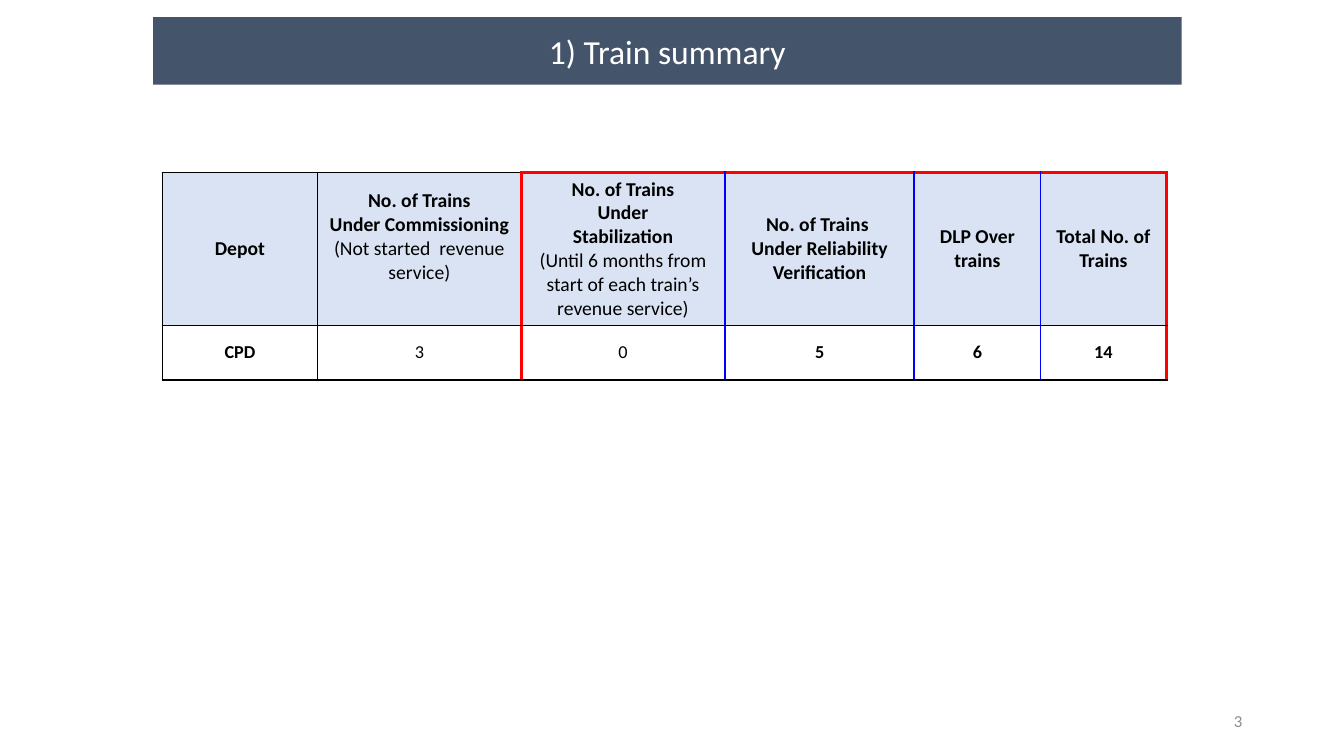
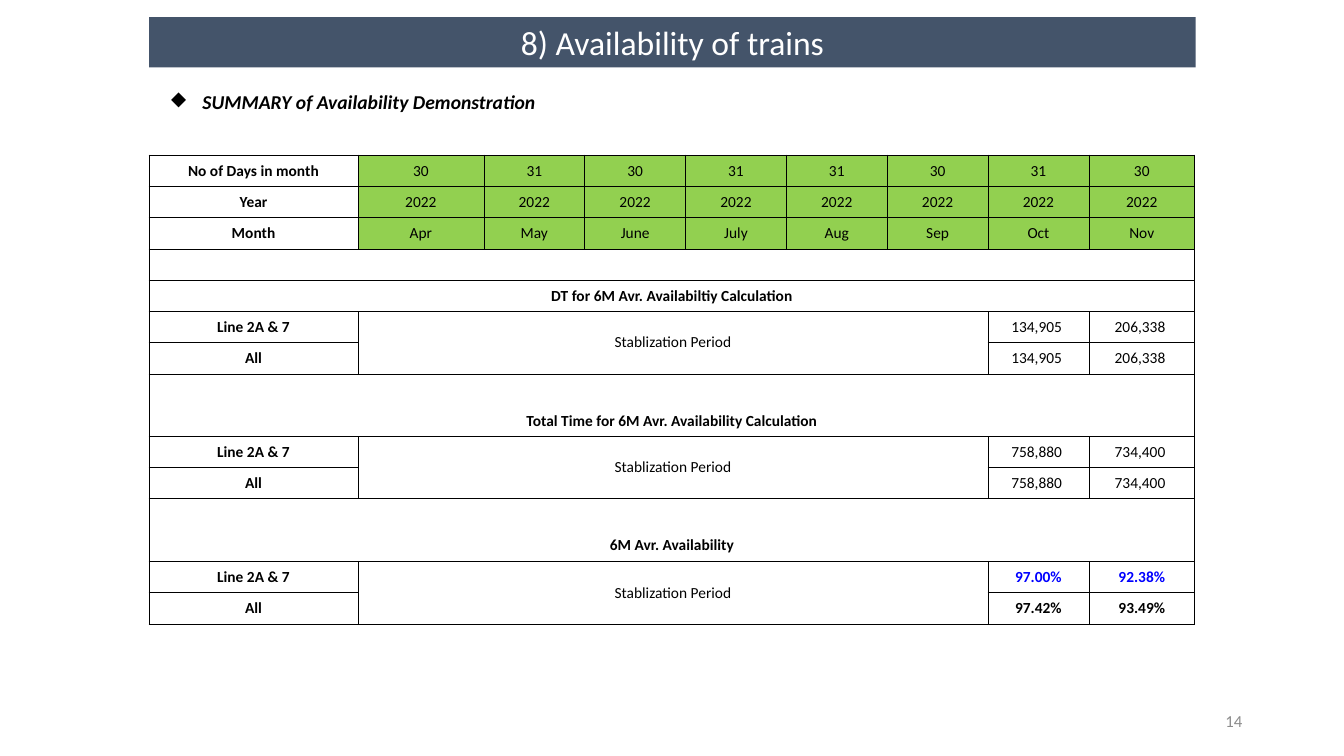
from dataclasses import dataclass
from typing import NamedTuple, Optional

from lxml.etree import SubElement
from pptx import Presentation
from pptx.dml.color import RGBColor
from pptx.enum.shapes import MSO_SHAPE
from pptx.enum.text import MSO_ANCHOR, PP_ALIGN
from pptx.oxml.ns import qn
from pptx.util import Inches, Pt

FONT = "Calibri"
BLACK, WHITE, RED, BLUE = "000000", "FFFFFF", "FF0000", "0000FF"
NAVY, GREY, PALE_BLUE, GREEN = "44546A", "8C8C8C", "DAE3F3", "92D050"


class Edge(NamedTuple):
    color: str
    width: float


class Edges(NamedTuple):
    left: Optional[Edge]
    right: Optional[Edge]
    top: Optional[Edge]
    bottom: Optional[Edge]


class Box(NamedTuple):
    left: float
    top: float
    width: float
    height: float

    def lengths(self) -> list:
        return [Inches(value) for value in self]


@dataclass(frozen=True)
class Line:
    text: str
    size: float
    bold: bool = False
    color: str = BLACK
    italic: bool = False


@dataclass(frozen=True)
class Section:
    heading: str
    line_values: tuple
    all_values: tuple
    line_color: str = BLACK
    bold: bool = False
    split_heading: bool = False


THIN, OUTER = Edge(BLACK, 0.5), Edge(BLACK, 1)
RED_EDGE, BLUE_EDGE = Edge(RED, 2.25), Edge(BLUE, 1.5)

DEPOT_COLUMNS = (1.54, 2.02, 2.02, 1.88, 1.25, 1.25)
DEPOT_UPRIGHTS = (OUTER, OUTER, RED_EDGE, BLUE_EDGE, BLUE_EDGE, BLUE_EDGE, RED_EDGE)
DEPOT_HEADINGS = (
    (("Depot",), None),
    (("No. of Trains", "Under Commissioning"), "(Not started  revenue service)"),
    (("No. of Trains", "Under", "Stabilization"),
     "(Until 6 months from start of each train’s revenue service)"),
    (("No. of Trains ", "Under Reliability Verification"), None),
    (("DLP Over trains",), None),
    (("Total No. of Trains",), None),
)
DEPOT_COUNTS = ("CPD", "3", "0", "5", "6", "14")
LIGHT_COUNTS = (1, 2)

MONTH_COLUMNS = (2.07, 1.25, *[1] * 6, 1.05)
CALENDAR = (
    ("No of Days in month", "30", "31", "30", "31", "31", "30", "31", "30"),
    ("Year", *["2022"] * 8),
    ("Month", "Apr", "May", "June", "July", "Aug", "Sep", "Oct", "Nov"),
)
SECTIONS = (
    Section("DT for 6M Avr. Availabiltiy Calculation", ("134,905 ", "206,338 "),
            ("134,905 ", "206,338 "), split_heading=True),
    Section("Total Time for 6M Avr. Availability Calculation", ("758,880 ", "734,400 "),
            ("758,880 ", "734,400 ")),
    Section("6M Avr. Availability", ("97.00%", "92.38%"), ("97.42%", "93.49%"),
            line_color=BLUE, bold=True),
)


def rgb(value: str) -> RGBColor:
    return RGBColor.from_string(value)


def write(frame, lines: list, align) -> None:
    for index, line in enumerate(lines):
        paragraph = frame.paragraphs[0] if index == 0 else frame.add_paragraph()
        paragraph.alignment = align
        run = paragraph.add_run()
        run.text = line.text
        font = run.font
        font.name, font.size = FONT, Pt(line.size)
        font.bold, font.italic = line.bold, line.italic
        font.color.rgb = rgb(line.color)


def add_text(slide, box: Box, line: Line, align, anchor):
    frame = slide.shapes.add_textbox(*box.lengths()).text_frame
    frame.word_wrap = True
    frame.vertical_anchor = anchor
    write(frame, [line], align)
    return frame


def add_frame(slide, title: str, band_box: Box, number: str) -> None:
    band = slide.shapes.add_shape(MSO_SHAPE.RECTANGLE, *band_box.lengths())
    band.shadow.inherit = False
    band.fill.solid()
    band.fill.fore_color.rgb = rgb(NAVY)
    band.line.fill.background()
    band.text_frame.word_wrap = True
    band.text_frame.vertical_anchor = MSO_ANCHOR.MIDDLE
    write(band.text_frame, [Line(title, 24, color=WHITE)], PP_ALIGN.CENTER)
    add_text(slide, Box(9.42, 6.95, 3, 0.4), Line(number, 12, color=GREY),
             PP_ALIGN.RIGHT, MSO_ANCHOR.MIDDLE)


def add_grid(slide, left: float, top: float, columns: tuple, rows: tuple):
    box = Box(left, top, sum(columns), sum(rows))
    table = slide.shapes.add_table(len(rows), len(columns), *box.lengths()).table
    table.first_row = table.horz_banding = False
    for column, width in zip(table.columns, columns):
        column.width = Inches(width)
    for row, height in zip(table.rows, rows):
        row.height = Inches(height)
    return table


def style_cell(cell, edges: Edges, fill: Optional[str], side_inset: float,
               end_inset: float) -> None:
    properties = cell._tc.get_or_add_tcPr()
    for tag, edge in zip(("a:lnL", "a:lnR", "a:lnT", "a:lnB"), edges):
        border = SubElement(properties, qn(tag))
        if edge is None:
            SubElement(border, qn("a:noFill"))
            continue
        border.set("w", str(Pt(edge.width)))
        SubElement(SubElement(border, qn("a:solidFill")), qn("a:srgbClr")).set("val", edge.color)
    if fill:
        cell.fill.solid()
        cell.fill.fore_color.rgb = rgb(fill)
    else:
        cell.fill.background()
    cell.margin_left = cell.margin_right = Inches(side_inset)
    cell.margin_top = cell.margin_bottom = Inches(end_inset)
    cell.vertical_anchor = MSO_ANCHOR.MIDDLE


def add_depot_table(slide) -> None:
    table = add_grid(slide, 1.61, 1.71, DEPOT_COLUMNS, (1.43, 0.54))
    for column, (titles, note) in enumerate(DEPOT_HEADINGS):
        left, right = DEPOT_UPRIGHTS[column:column + 2]
        heading, count = table.cell(0, column), table.cell(1, column)
        top = OUTER if column < 2 else RED_EDGE
        style_cell(heading, Edges(left, right, top, OUTER), PALE_BLUE, 0.11, 0.05)
        style_cell(count, Edges(left, right, OUTER, OUTER), None, 0.1, 0.05)
        lines = [Line(title, 14, True) for title in titles]
        if note:
            lines.append(Line(note, 14))
        write(heading.text_frame, lines, PP_ALIGN.CENTER)
        write(count.text_frame, [Line(DEPOT_COUNTS[column], 13, column not in LIGHT_COUNTS)],
              PP_ALIGN.CENTER)
    table.cell(0, 1).margin_bottom = Inches(0.29)


def add_availability_table(slide) -> None:
    row_heights = (*[0.31] * 14, 0.32)
    table = add_grid(slide, 1.48, 1.54, MONTH_COLUMNS, row_heights)
    last_row, last_column = len(row_heights) - 1, len(MONTH_COLUMNS) - 1
    first_section = len(CALENDAR)
    spacers = [first_section + 4 * index for index in range(len(SECTIONS))]
    open_spacers = [row for row, section in zip(spacers, SECTIONS) if not section.split_heading]

    for row in range(last_row + 1):
        for column in range(last_column + 1):
            inner = None if row in spacers else THIN
            edges = Edges(
                OUTER if column == 0 else inner,
                OUTER if column == last_column else inner,
                OUTER if row == 0 else None if row - 1 in open_spacers else THIN,
                OUTER if row == last_row else None if row in open_spacers else THIN,
            )
            fill = GREEN if row < first_section and column > 0 else None
            style_cell(table.cell(row, column), edges, fill, 0, 0)

    def put(row: int, column: int, text: str, bold: bool = False, color: str = BLACK) -> None:
        write(table.cell(row, column).text_frame, [Line(text, 11, bold, color)], PP_ALIGN.CENTER)

    for row, values in enumerate(CALENDAR):
        for column, value in enumerate(values):
            put(row, column, value, column == 0)

    for spacer, section in zip(spacers, SECTIONS):
        heading, line_row, all_row = spacer + 1, spacer + 2, spacer + 3
        table.cell(heading, 0).merge(table.cell(heading, last_column))
        table.cell(line_row, 1).merge(table.cell(all_row, 6))
        put(heading, 0, section.heading, True)
        put(line_row, 0, "Line 2A & 7", True)
        put(all_row, 0, "All", True)
        put(line_row, 1, "Stablization Period")
        for offset in range(2):
            column = 7 + offset
            put(line_row, column, section.line_values[offset], section.bold, section.line_color)
            put(all_row, column, section.all_values[offset], section.bold)


def add_summary_heading(slide) -> None:
    frame = add_text(slide, Box(1.6, 0.84, 8.61, 0.7),
                     Line("SUMMARY of Availability Demonstration", 14, True, italic=True),
                     PP_ALIGN.LEFT, MSO_ANCHOR.TOP)
    paragraph = frame.paragraphs[0]
    properties = paragraph._p.get_or_add_pPr()
    properties.set("marL", str(Inches(0.31)))
    properties.set("indent", str(-Inches(0.31)))
    SubElement(properties, qn("a:buChar")).set("char", "◆")
    paragraph.space_after = Pt(9)


def main() -> None:
    deck = Presentation()
    deck.slide_width, deck.slide_height = Inches(13.33), Inches(7.5)
    blank = deck.slide_layouts[6]

    train_summary = deck.slides.add_slide(blank)
    add_depot_table(train_summary)
    add_frame(train_summary, "1) Train summary", Box(1.52, 0.17, 10.2, 0.67), "3")

    availability = deck.slides.add_slide(blank)
    add_frame(availability, "8) Availability of trains", Box(1.48, 0.17, 10.38, 0.5), "14")
    add_summary_heading(availability)
    add_availability_table(availability)

    deck.save("out.pptx")


if __name__ == "__main__":
    main()
